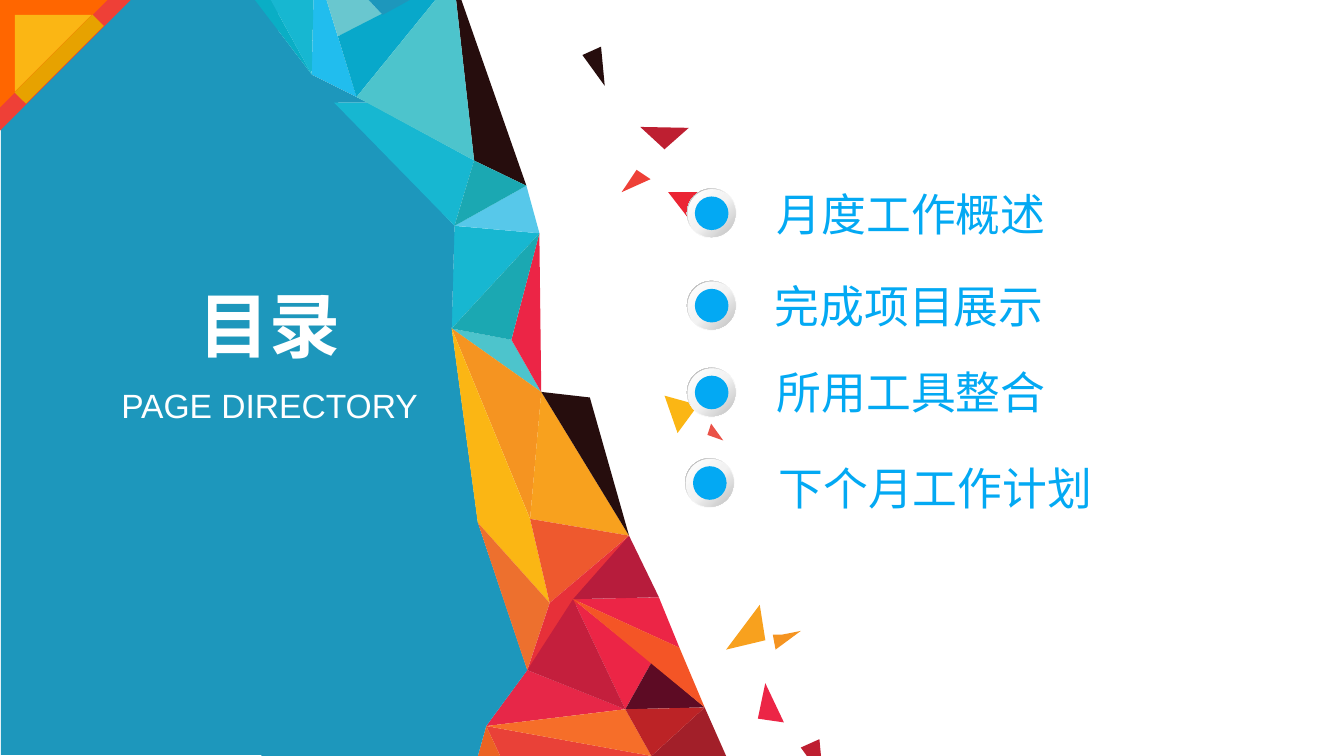
"""Build the contents slide: a mesh of coloured facets beside four topics."""
from copy import deepcopy

from pptx import Presentation
from pptx.dml.color import RGBColor as Rgb
from pptx.enum.shapes import MSO_SHAPE as Kind
from pptx.enum.text import MSO_AUTO_SIZE as Fit, PP_ALIGN as Align
from pptx.oxml.ns import qn
from pptx.util import Pt

WHITE = Rgb(0xFF, 0xFF, 0xFF)
PALE = Rgb(0xF2, 0xF2, 0xF2)
SILVER = Rgb(0xBF, 0xBF, 0xBF)
GREY = Rgb(0xA6, 0xA6, 0xA6)
BLUE = Rgb(0x1D, 0x97, 0xBC)
BRIGHT = Rgb(0x03, 0xA9, 0xF3)
SKY = Rgb(0x57, 0xC8, 0xEA)
AZURE = Rgb(0x21, 0xBD, 0xEE)
CYAN = Rgb(0x17, 0xB7, 0xD1)
OCEAN = Rgb(0x08, 0xA8, 0xCA)
LAGOON = Rgb(0x0A, 0xAE, 0xC5)
TEAL = Rgb(0x1B, 0xA8, 0xB2)
MINT = Rgb(0x4D, 0xC4, 0xCC)
MIST = Rgb(0x69, 0xC7, 0xCF)
BLACK = Rgb(0x26, 0x0D, 0x0D)
PLUM = Rgb(0x5D, 0x0B, 0x24)
WINE = Rgb(0xA2, 0x1F, 0x29)
BRICK = Rgb(0xBC, 0x23, 0x26)
CHERRY = Rgb(0xBE, 0x1F, 0x31)
RUBY = Rgb(0xB7, 0x1C, 0x3C)
CRIMSON = Rgb(0xC4, 0x1F, 0x3D)
PINK = Rgb(0xEC, 0x25, 0x46)
ROSE = Rgb(0xE7, 0x27, 0x48)
RED = Rgb(0xEB, 0x25, 0x34)
SCARLET = Rgb(0xE7, 0x30, 0x39)
CORAL = Rgb(0xE9, 0x41, 0x38)
POPPY = Rgb(0xEE, 0x40, 0x37)
SALMON = Rgb(0xEA, 0x52, 0x48)
FLAME = Rgb(0xF4, 0x55, 0x26)
EMBER = Rgb(0xEE, 0x59, 0x2E)
RUST = Rgb(0xEB, 0x63, 0x23)
COPPER = Rgb(0xED, 0x70, 0x2E)
ORANGE = Rgb(0xF6, 0x6E, 0x29)
VIVID = Rgb(0xFF, 0x66, 0x00)
AMBER = Rgb(0xF5, 0x94, 0x21)
HONEY = Rgb(0xF8, 0xA1, 0x1E)
GOLD = Rgb(0xFB, 0xB6, 0x14)
MUSTARD = Rgb(0xE7, 0xA2, 0x00)

WIDE, HIGH = 720, 405
EDGE = [(135, -2), (167, 40), (179, 55), (243.5, 121), (242, 176), (256, 280),
        (282.5, 359), (260.5, 389), (256, HIGH), (140, HIGH)]
CORE = [(145, 0), (168, -2), (174, -3), (191, -7), (205, 8), (225, -3),
        (181, 19.5), (191, 52), (197, 55), (254, 86), (274, 182), (316, 213),
        (284, 278), (294.5, 323), (307, 321), (349, 355), (335, 380),
        (268, HIGH), (349, HIGH)]
RIM = [(243, -12), (282, 99.5), (289, 125), (290, 210), (337, 287),
       (353, 320), (364, 347), (377.5, 379), (389, HIGH)]
NODES = {f"{side}{rank}": node
         for side, chain in (("e", EDGE), ("c", CORE), ("r", RIM))
         for rank, node in enumerate(chain)}
MESH = [
    (PINK, "c14 c16 c15"), (PLUM, "c16 r7 c15"), (BLACK, "r0 r1 c9"),
    (WINE, "r7 r8 c18"), (PINK, "c14 r6 r5"), (CORAL, "e7 c17 c18"),
    (ROSE, "e6 e7 c16"), (MINT, "e4 c10 r3"), (CYAN, "e3 r2 e4"),
    (SKY, "e3 r1 r2"), (RUST, "e7 e8 c17"), (AZURE, "c1 c2 c7 e1"),
    (BLUE, "e0 e1 e3 e4 e5 e6 e7 e8 e9"),
    (LAGOON, "e0 c0 e1"), (CYAN, "c0 c1 e1"), (BLUE, "e1 c8 e2"),
    (CYAN, "c8 c9 e3 e2"), (TEAL, "c9 r1 e3"), (MIST, "c2 c3 c4 c6"),
    (OCEAN, "c6 c7 r0 c5"), (PINK, "r2 c10 r3"), (MINT, "r0 c9 c7"),
    (TEAL, "r2 c10 e4"), (AMBER, "e4 r3 c12"), (GOLD, "e4 e5 c13 c12"),
    (HONEY, "r3 c12 r4"), (BLACK, "r3 c11 r4"), (EMBER, "c12 c13 r4"),
    (COPPER, "e5 c13 e6"), (SCARLET, "c13 r4 e6"), (RUBY, "c14 r5 r4"),
    (CRIMSON, "c14 c16 e6"), (FLAME, "c14 r7 r6"), (ORANGE, "e7 c16 c18"),
    (BRICK, "c16 r7 c18"), (BLUE, "c3 c4 c5"),
]

SPLINTER = [(-10, 4.5), (2, 21)]
SHARDS = [
    (POPPY, (341, 91), [(-8, 12), (7.5, 5)]),
    (RED, (358, 103), [(21, 0), (17, 22)]),
    (CHERRY, (343, 68), [(26, 0.5), (13, 12)]),
    (GOLD, (356, 212), [(18, 5), (7, 20)]),
    (HONEY, (407, 324), [(-18, 24), (3, 19)]),
    (PINK, (410, 366), [(-4, 19), (10, 21)]),
    (AMBER, (414, 340), [(5, 0), (15, -2), (1.5, 8)]),
    (SALMON, (381, 227), [(6.5, 9), (-2, 6)]),
    (BLACK, (322, 25), SPLINTER),
    (CHERRY, (439, 396), SPLINTER),
]
CORNER = [(POPPY, 0, 70), (VIVID, 0, 57.5), (GOLD, 8, 41)]
STRIPE = (27.4, 2.2, 8.6, 59)

TOPICS = [
    ("月度工作概述", (409, 96.5), (368, 101)),
    ("完成项目展示", (408, 146), (368, 150.5)),
    ("所用工具整合", (409, 192), (368, 197)),
    ("下个月工作计划", (410, 243.5), (367, 245.5)),
]
TOPIC = (188, 36)
RING, DISC, DOT = 26.5, 25.5, 18
GLINT = [(0, WHITE), (0.55, PALE), (1, GREY)]
SHEEN = [(0, WHITE), (0.51, PALE), (1, SILVER)]


class Deck:
    """Hold the font and the current slide."""

    def __init__(self, slide, font):
        self.shapes = slide.shapes
        self.font = font

    def paint(self, shape, color):
        shape.shadow.inherit = False
        shape.line.fill.background()
        shape.fill.solid()
        shape.fill.fore_color.rgb = color
        return shape

    def facet(self, color, nodes):
        first, *rest = [(Pt(x), Pt(y)) for x, y in nodes]
        form = self.shapes.build_freeform(*first)
        form.add_line_segments(rest, close=True)
        self.paint(form.convert_to_shape(), color)

    def shard(self, color, tip, steps):
        x, y = tip
        self.facet(color, [tip] + [(x + dx, y + dy) for dx, dy in steps])

    def shape(self, kind, box, color, turn=0, home=None):
        shape = (home or self.shapes).add_shape(kind, *map(Pt, box))
        shape.rotation = turn
        return self.paint(shape, color)

    def blend(self, shape, stops, angle):
        fill = shape.fill
        fill.gradient()
        fill.gradient_angle = angle
        marks = shape.element.spPr.find(".//" + qn("a:gsLst"))
        marks.append(deepcopy(marks[0]))
        for mark, (place, color) in zip(fill.gradient_stops, stops):
            mark.position = place
            mark.color.rgb = color

    def badge(self, x, y):
        home = self.shapes.add_group_shape().shapes

        def round_off(kind, size, color):
            inset = (RING - size) / 2
            return self.shape(kind, (x + inset, y + inset, size, size), color, home=home)

        ring = round_off(Kind.DONUT, RING, GREY)
        ring.adjustments[0] = 0.049
        self.blend(ring, GLINT, 135)
        self.blend(round_off(Kind.OVAL, DISC, PALE), SHEEN, 315)
        round_off(Kind.OVAL, DOT, BRIGHT)

    def label(self, text, box, size, color, bold=False):
        frame = self.shapes.add_textbox(*map(Pt, box)).text_frame
        frame.word_wrap = True
        frame.auto_size = Fit.SHAPE_TO_FIT_TEXT
        run = frame.paragraphs[0].add_run()
        run.text = text
        run.font.name = self.font
        run.font.size = Pt(size)
        run.font.bold = bold
        run.font.color.rgb = color
        return frame

    def title(self, text, box, size, bold=False):
        frame = self.label(text, box, size, WHITE, bold)
        frame.word_wrap = False
        frame.paragraphs[0].alignment = Align.CENTER


def main():
    show = Presentation()
    show.slide_width, show.slide_height = Pt(WIDE), Pt(HIGH)
    deck = Deck(show.slides.add_slide(show.slide_layouts[6]), "Arial")
    deck.shape(Kind.RECTANGLE, (0.5, -0.5, 148.5, HIGH), BLUE)
    for color, names in MESH:
        deck.facet(color, [NODES[name] for name in names.split()])
    for shard in SHARDS:
        deck.shard(*shard)
    for color, inset, side in CORNER:
        deck.shape(Kind.RIGHT_TRIANGLE, (inset, inset, side, side), color, 90)
    deck.shape(Kind.RECTANGLE, STRIPE, MUSTARD, 45)
    for text, spot, _ in TOPICS:
        deck.label(text, spot + TOPIC, 24, BRIGHT)
    for _, _, spot in TOPICS:
        deck.badge(*spot)
    deck.title("目录", (98.5, 147.5, 91.5, 53.5), 38, True)
    deck.title("PAGE DIRECTORY", (57, 202.5, 175, 29), 18)
    show.save("out.pptx")


if __name__ == "__main__":
    main()
